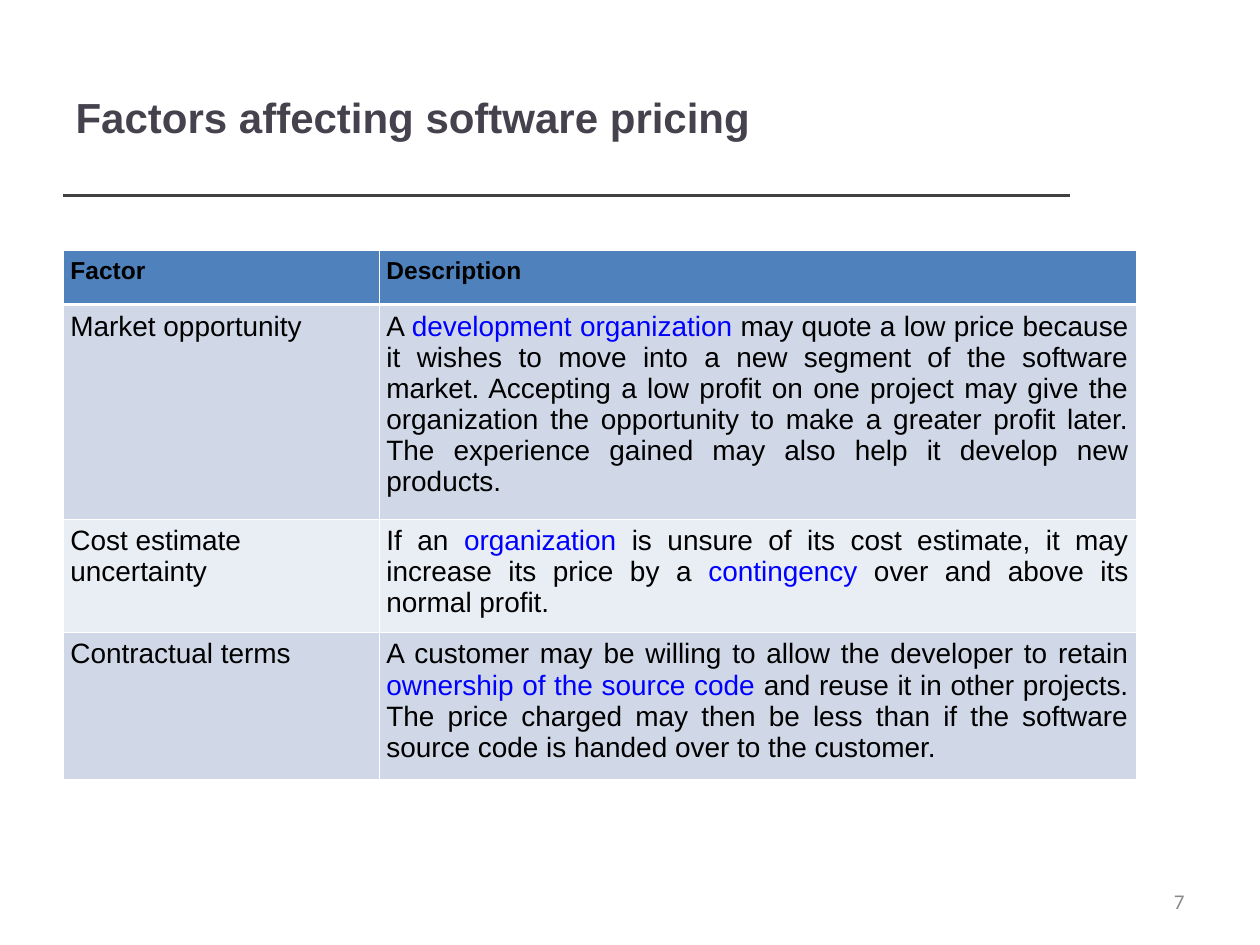
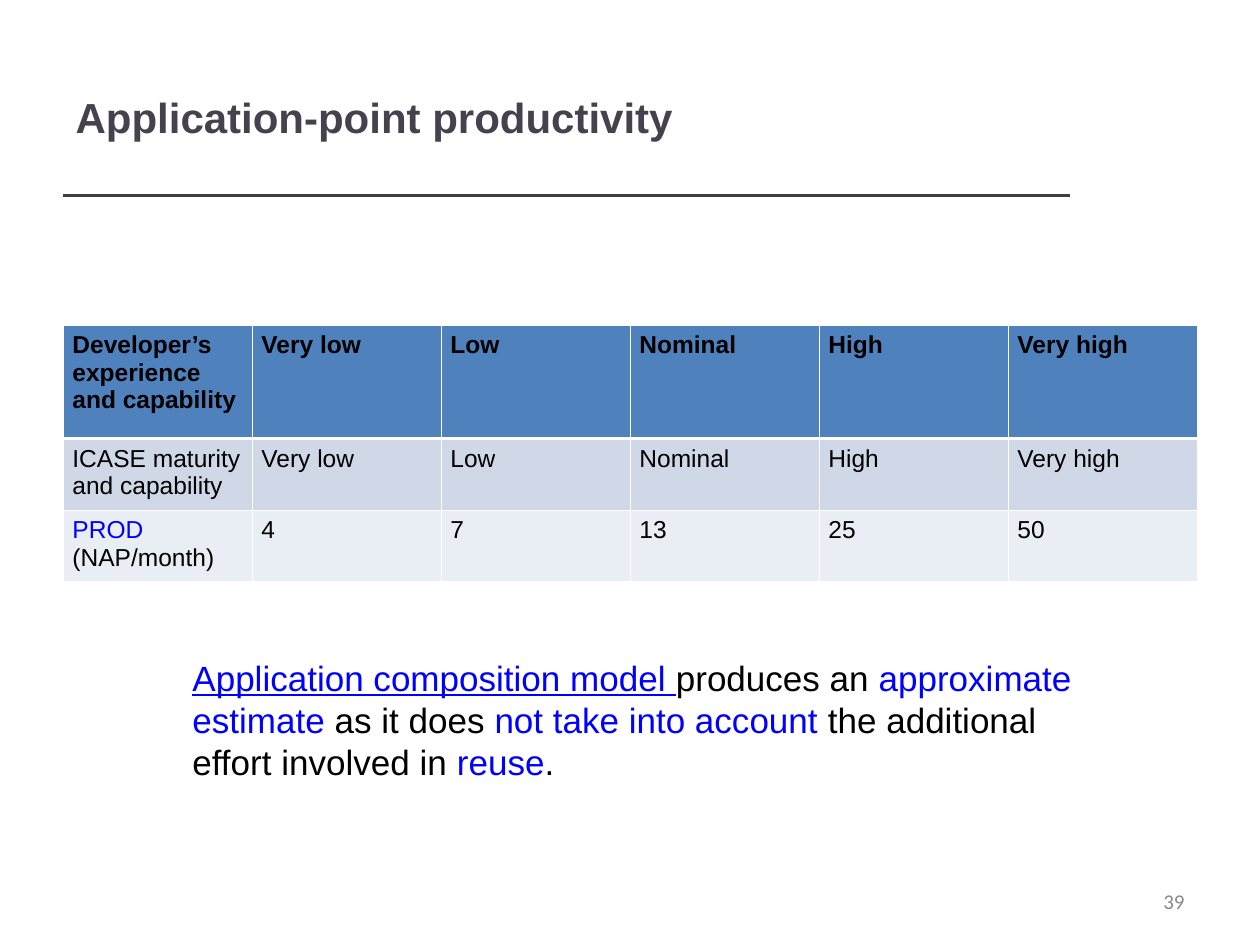
from lxml.etree import SubElement
from pptx import Presentation
from pptx.dml.color import RGBColor
from pptx.enum.shapes import MSO_CONNECTOR
from pptx.enum.text import MSO_ANCHOR as Anchor, MSO_AUTO_SIZE as AutoSize, PP_ALIGN as Align
from pptx.oxml import parse_xml
from pptx.oxml.ns import nsdecls, qn
from pptx.util import Cm, Pt

# Shared look
BLACK = RGBColor(0x00, 0x00, 0x00)
WHITE = RGBColor(0xFF, 0xFF, 0xFF)
BLUE = RGBColor(0x00, 0x00, 0xFF)
TITLE_GREY = RGBColor(0x46, 0x42, 0x4D)
RULE_GREY = RGBColor(0x40, 0x40, 0x40)
NUMBER_GREY = RGBColor(0x89, 0x89, 0x89)
HEADER_FILL = RGBColor(0x4F, 0x81, 0xBD)
BAND_FILLS = [RGBColor(0xD0, 0xD8, 0xE8), RGBColor(0xE9, 0xED, 0xF4)]
LEFT, RULE_TOP, RULE_RIGHT = 1.27, 3.94, 21.56
THIN, THICK = 0.45, 1.47

TITLE_FONT = {"name": "Arial", "size": Pt(24), "bold": True, "color": TITLE_GREY}
NUMBER_FONT = {"name": "Calibri", "size": Pt(12), "color": NUMBER_GREY}
NOTE_FONT = {"name": "Arial", "size": Pt(20), "color": BLACK}
HEADER_FONT = {"name": "Arial", "size": Pt(14), "bold": True, "color": BLACK}
KEY = {"color": BLUE}
KEY_UNDERLINED = {"color": BLUE, "underline": True}

# Content: a text is a list of runs, and a run is a string or (string, format)
SLIDES = [
    {
        "title": "Factors affecting software pricing",
        "number": "7",
        "table": {
            "top": 5.05, "columns": [6.37, 15.26], "heights": [1.09, 4.32, 2.29, 2.97],
            "inset": 0.15, "body_size": 16, "left_cells": [(1, 0), (2, 0), (3, 0)],
            "rows": [
                [["Factor"], ["Description"]],
                [["Market opportunity"],
                 ["A ", ("development organization", KEY),
                  " may quote a low price because it wishes to move into a new segment of the "
                  "software market. Accepting a low profit on one project may give the "
                  "organization the opportunity to make a greater profit later. The experience "
                  "gained may also help it develop new products."]],
                [["Cost estimate uncertainty"],
                 ["If an ", ("organization", KEY),
                  " is unsure of its cost estimate, it may increase its price by a ",
                  ("contingency", KEY), " over and above its normal profit."]],
                [["Contractual terms"],
                 ["A customer may be willing to allow the developer to retain ",
                  ("ownership of the source code ", KEY),
                  "and reuse it in other projects. The price charged may then be less than if "
                  "the software source code is handed over to the customer."]],
            ],
        },
    },
    {
        "title": "Application-point productivity",
        "number": "39",
        "table": {
            "top": 6.55, "columns": [3.81] * 6, "heights": [2.29, 1.44, 1.44],
            "inset": 0.19, "body_size": 14, "left_cells": [(0, 0), (1, 0), (2, 0)],
            "rows": [
                [["Developer’s experience and capability"],
                 ["Very low"], ["Low"], ["Nominal"], ["High"], ["Very high"]],
                [["ICASE maturity and capability"],
                 ["Very low"], ["Low"], ["Nominal"], ["High"], ["Very high"]],
                [[("PROD", KEY), " (NAP/month)"], ["4"], ["7"], ["13"], ["25"], ["50"]],
            ],
        },
        "note": [
            ("Application composition model ", KEY_UNDERLINED), "produces an ",
            ("approximate estimate ", KEY), "as it does ", ("not take into account ", KEY),
            "the additional effort involved in ", ("reuse", KEY), ".",
        ],
    },
]


def write_runs(paragraph, runs, base, align=Align.LEFT):
    paragraph.alignment = align
    for entry in runs:
        text, extra = (entry, {}) if isinstance(entry, str) else entry
        run = paragraph.add_run()
        run.text = text
        for name, value in {**base, **extra}.items():
            if name == "color":
                run.font.color.rgb = value
            else:
                setattr(run.font, name, value)


def add_text(slide, box, runs, font, align=Align.LEFT, **frame_format):
    frame = slide.shapes.add_textbox(*map(Cm, box)).text_frame
    for name, value in {"word_wrap": True, **frame_format}.items():
        setattr(frame, name, value)
    write_runs(frame.paragraphs[0], runs, font, align)


def set_borders(cell, top, bottom):
    properties = cell._tc.get_or_add_tcPr()
    sides = {"lnL": THIN, "lnR": THIN, "lnT": top, "lnB": bottom}
    for position, (side, width) in enumerate(sides.items()):
        line = parse_xml(f'<a:{side} {nsdecls("a")} w="{Pt(width)}"><a:solidFill>'
                         f'<a:srgbClr val="{WHITE}"/></a:solidFill></a:{side}>')
        properties.insert(position, line)


def add_grid(slide, top, columns, heights, inset, body_size, left_cells, rows):
    table = slide.shapes.add_table(
        len(heights), len(columns), Cm(LEFT), Cm(top), Cm(sum(columns)), Cm(sum(heights))).table
    table.horz_banding = False
    for column, width in zip(table.columns, columns):
        column.width = Cm(width)
    body_font = {**HEADER_FONT, "bold": False, "size": Pt(body_size)}
    for row_index, (row, height) in enumerate(zip(rows, heights)):
        table.rows[row_index].height = Cm(height)
        is_header = row_index == 0
        for column_index, runs in enumerate(row):
            cell = table.cell(row_index, column_index)
            cell.margin_left = cell.margin_right = Cm(inset)
            cell.fill.solid()
            cell.fill.fore_color.rgb = HEADER_FILL if is_header else BAND_FILLS[(row_index - 1) % 2]
            set_borders(cell, THICK if row_index == 1 else THIN, THICK if is_header else THIN)
            align = Align.LEFT if (row_index, column_index) in left_cells else Align.JUSTIFY
            write_runs(cell.text_frame.paragraphs[0], runs,
                       HEADER_FONT if is_header else body_font, align)


def add_frame(slide, title, number):
    # Title
    shape = slide.shapes.title
    box = {"left": LEFT, "top": 0.76, "width": 20.27, "height": 3.18}
    for name, value in box.items():
        setattr(shape, name, Cm(value))
    shape.text_frame.auto_size = AutoSize.NONE
    shape.text_frame.vertical_anchor = Anchor.MIDDLE
    write_runs(shape.text_frame.paragraphs[0], [title], TITLE_FONT)

    # Rule under the title
    rule = slide.shapes.add_connector(
        MSO_CONNECTOR.STRAIGHT, Cm(LEFT), Cm(RULE_TOP), Cm(RULE_RIGHT), Cm(RULE_TOP))
    rule.line.color.rgb = RULE_GREY
    rule.line.width = Pt(2)
    SubElement(rule._element.spPr, qn("a:effectLst"))

    # Slide number
    add_text(slide, (18.21, 17.65, 5.92, 1.02), [number], NUMBER_FONT, Align.RIGHT,
             vertical_anchor=Anchor.MIDDLE)


def main():
    presentation = Presentation()
    presentation.slide_width, presentation.slide_height = Cm(25.4), Cm(19.05)
    for content in SLIDES:
        slide = presentation.slides.add_slide(presentation.slide_layouts[5])
        add_frame(slide, content["title"], content["number"])
        add_grid(slide, **content["table"])
        if "note" in content:
            add_text(slide, (3.63, 13.11, 19.2, 2.79), content["note"], NOTE_FONT,
                     auto_size=AutoSize.SHAPE_TO_FIT_TEXT)
    presentation.save("out.pptx")


if __name__ == "__main__":
    main()
